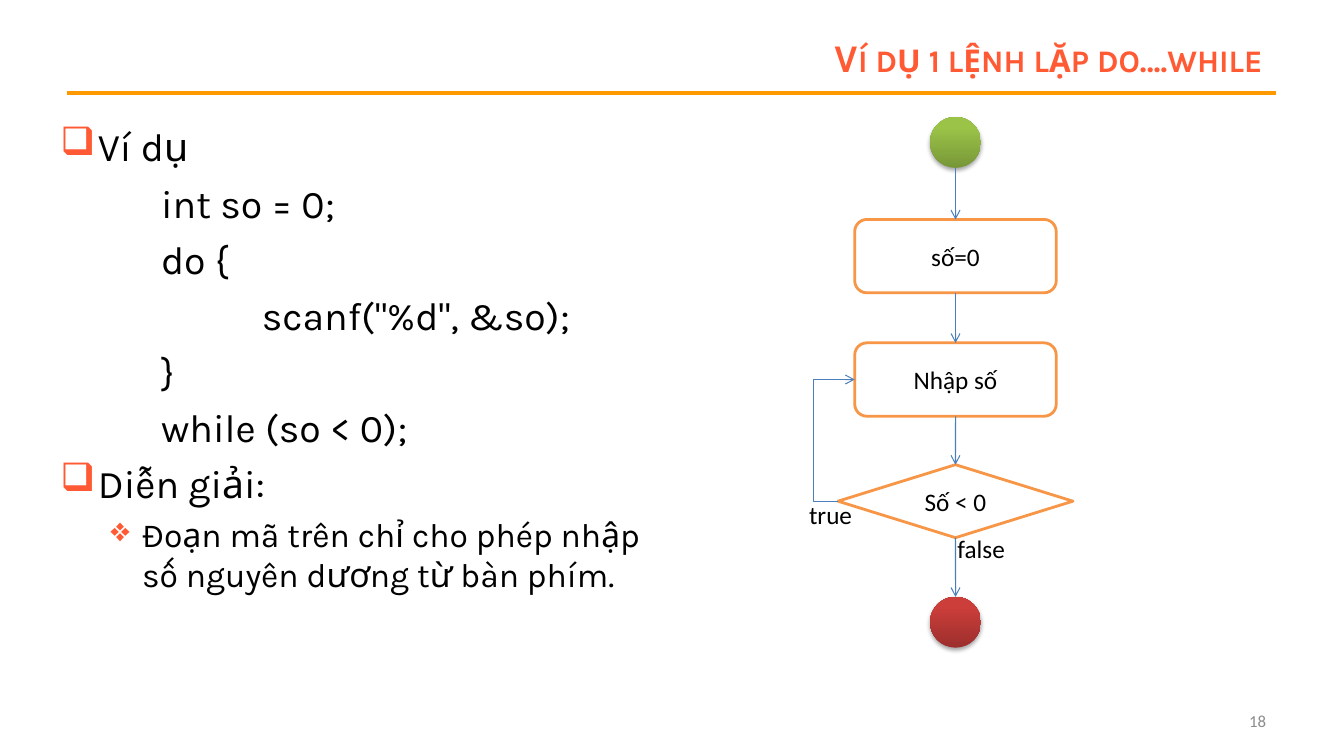
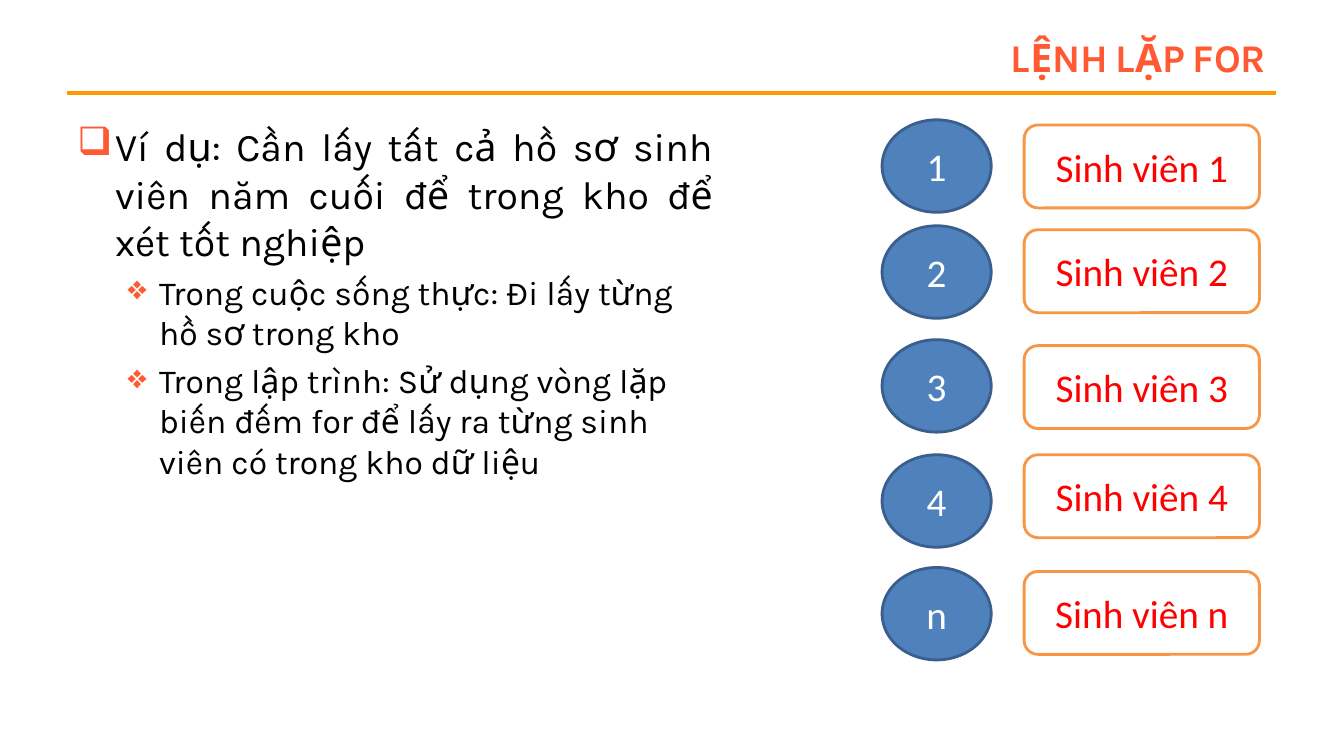
"""Build two lecture slides about the do-while and for loops."""
import itertools
from dataclasses import dataclass
from typing import NamedTuple, Optional

import pptx
import pptx.dml.color
import pptx.enum.dml
import pptx.enum.shapes
import pptx.enum.text
import pptx.oxml
import pptx.oxml.ns
import pptx.util
from pptx.util import Cm

ALIGN = pptx.enum.text.PP_ALIGN
ANCHOR = pptx.enum.text.MSO_ANCHOR
SHAPE = pptx.enum.shapes.MSO_SHAPE
CONNECTOR = pptx.enum.shapes.MSO_CONNECTOR

HEADING_FONT, DIAGRAM_FONT = "Karla", "Calibri"
BLACK, WHITE, RED, GREY = "000000", "FFFFFF", "FF0000", "8C8C8C"
CORAL, AMBER, ORANGE = "FF5A33", "FF9900", "F79646"
BLUE, NAVY, ARROW_BLUE = "4F81BD", "3A5F8C", "4B7EBC"
TOP, LEFT, BOTTOM = 0, 1, 2


class Box(NamedTuple):
    """Place and size in centimetres."""

    left: float
    top: float
    width: float
    height: float

    def lengths(self) -> tuple:
        """Return the four measures as lengths."""
        return tuple(Cm(value) for value in self)


@dataclass(frozen=True)
class Style:
    """Paragraph format used in the body text."""

    size: int = 28
    margin: float = 0
    hanging: float = 0
    bullet: str = ""
    level: int = 0
    align: Optional[ALIGN] = None


@dataclass(frozen=True)
class Step:
    """Node of the flowchart."""

    kind: SHAPE
    box: Box
    label: str = ""
    glow: tuple = ()


@dataclass(frozen=True)
class Student:
    """Numbered record on the for-loop slide."""

    number: str
    number_top: float
    record_top: float


POINT = Style(margin=0.95, hanging=0.95, bullet="❑")
JUSTIFIED = Style(margin=0.95, hanging=0.95, bullet="❑", align=ALIGN.JUSTIFY)
SUBPOINT = Style(size=24, margin=2.06, hanging=0.79, bullet="❖", level=1)
CODE = Style(margin=2.54)
NESTED_CODE = Style(margin=5.08)

AXIS = 24.08
STEPS = (
    Step(SHAPE.OVAL, Box(AXIS - 0.64, 2.95, 1.28, 1.28), glow=("779737", "9BC348")),
    Step(SHAPE.ROUNDED_RECTANGLE, Box(AXIS - 2.54, 5.53, 5.08, 1.85), "số=0"),
    Step(SHAPE.ROUNDED_RECTANGLE, Box(AXIS - 2.54, 8.64, 5.08, 1.85), "Nhập số"),
    Step(SHAPE.FLOWCHART_DECISION, Box(AXIS - 2.96, 11.71, 5.92, 1.84), "Số < 0"),
    Step(SHAPE.OVAL, Box(AXIS - 0.64, 15.04, 1.28, 1.28), glow=("9C2F2D", "CB3E3A")),
)
BRANCHES = {
    "true": Box(20.14, 12.47, 1.6, 1.02),
    "false": Box(23.88, 13.32, 1.73, 1.02),
}
STUDENTS = (
    Student("1", 3.02, 3.15),
    Student("2", 5.69, 5.79),
    Student("3", 8.56, 8.71),
    Student("4", 11.46, 11.46),
    Student("n", 14.3, 14.4),
)


def rgb(code: str) -> pptx.dml.color.RGBColor:
    """Turn a hex string into a colour."""
    return pptx.dml.color.RGBColor.from_string(code)


def element(xml: str):
    """Parse a drawing element given without its namespace."""
    tag, rest = xml.split(" ", 1)
    return pptx.oxml.parse_xml(f"{tag} {pptx.oxml.ns.nsdecls('a')} {rest}")


def write(frame, text: str, *, size: int, font: str = DIAGRAM_FONT,
          color: str = BLACK, align: Optional[ALIGN] = None, bold: bool = False,
          small_caps: bool = False, space: float = 0, margin: float = 0,
          hanging: float = 0, bullet: str = "", level: int = 0) -> None:
    """Add a formatted paragraph to a text frame."""
    paragraph = frame.paragraphs[0] if not frame.text else frame.add_paragraph()
    paragraph.alignment = align
    paragraph.level = level
    paragraph.space_before = pptx.util.Pt(space)
    properties = paragraph._p.get_or_add_pPr()
    properties.set("marL", str(int(Cm(margin))))
    properties.set("indent", str(-int(Cm(hanging))))
    if bullet:
        properties.append(element(f'<a:buClr ><a:srgbClr val="{CORAL}"/></a:buClr>'))
        properties.append(element(f'<a:buChar char="{bullet}"/>'))
    run = paragraph.add_run()
    run.text = text
    run.font.name = font
    run.font.size = pptx.util.Pt(size)
    run.font.bold = bold
    run.font.color.rgb = rgb(color)
    if small_caps:
        run._r.get_or_add_rPr().set("cap", "small")


def add_text_frame(slide, box: Box, wrap: bool = True, anchor: ANCHOR = ANCHOR.TOP):
    """Add a text box and return its frame."""
    frame = slide.shapes.add_textbox(*box.lengths()).text_frame
    frame.word_wrap = wrap
    frame.vertical_anchor = anchor
    return frame


def add_body(slide, box: Box, lines: tuple) -> None:
    """Write the styled lines of the main text."""
    frame = add_text_frame(slide, box)
    for text, style in lines:
        write(frame, text, font=HEADING_FONT, size=style.size, align=style.align,
              space=round(style.size * 0.23, 1), margin=style.margin,
              hanging=style.hanging, bullet=style.bullet, level=style.level)


def add_node(slide, kind: SHAPE, box: Box, label: str, *, size: int,
             color: str = BLACK, fill: str = WHITE, line: str = ORANGE):
    """Add an outlined shape with a centred label."""
    node = slide.shapes.add_shape(kind, *box.lengths())
    node.shadow.inherit = False
    node.fill.solid()
    node.fill.fore_color.rgb = rgb(fill)
    node.line.color.rgb = rgb(line)
    node.line.width = pptx.util.Pt(2)
    node.text_frame.vertical_anchor = ANCHOR.MIDDLE
    write(node.text_frame, label, size=size, color=color, align=ALIGN.CENTER)
    return node


def add_terminal(slide, step: Step):
    """Add a shaded circle that starts or ends the flow."""
    terminal = slide.shapes.add_shape(step.kind, *step.box.lengths())
    terminal.line.fill.background()
    terminal.fill.gradient()
    terminal.fill.gradient_angle = 90
    for stop, color, position in zip(terminal.fill.gradient_stops, step.glow, (0, 0.8)):
        stop.color.rgb = rgb(color)
        stop.position = position
    terminal.shadow.inherit = False
    effects = terminal._element.spPr.find(pptx.oxml.ns.qn("a:effectLst"))
    effects.append(element(
        '<a:outerShdw blurRad="39370" dist="22860" dir="5400000" rotWithShape="0">'
        f'<a:srgbClr val="{BLACK}"><a:alpha val="35000"/></a:srgbClr></a:outerShdw>'))
    return terminal


def add_line(slide, kind: CONNECTOR, start: tuple, end: tuple, color: str,
             width: float, arrow: bool = False):
    """Add a connector between two points given in centimetres."""
    line = slide.shapes.add_connector(kind, *(Cm(value) for value in start + end))
    line.line.color.rgb = rgb(color)
    line.line.width = pptx.util.Pt(width)
    if arrow:
        line.line._get_or_add_ln().append(element('<a:tailEnd type="arrow"/>'))
    line._element.spPr.append(element("<a:effectLst />"))
    return line


def add_titled_slide(deck, title: str, box: Box):
    """Add a slide with the shared title style and rule."""
    slide = deck.slides.add_slide(deck.slide_layouts[5])
    heading = slide.shapes.title
    heading.left, heading.top, heading.width, heading.height = box.lengths()
    frame = heading.text_frame
    frame.word_wrap = True
    frame.auto_size = pptx.enum.text.MSO_AUTO_SIZE.NONE
    frame.vertical_anchor = ANCHOR.MIDDLE
    write(frame, title, size=28, font=HEADING_FONT, color=CORAL,
          align=ALIGN.RIGHT, bold=True, small_caps=True)
    add_line(slide, CONNECTOR.STRAIGHT, (1.7, 2.34), (32.16, 2.34), AMBER, 3)
    return slide


def add_flowchart(slide) -> None:
    """Draw the do-while flowchart."""
    nodes = [add_terminal(slide, step) if step.glow
             else add_node(slide, step.kind, step.box, step.label, size=18)
             for step in STEPS]
    for (upper, source), (lower, target) in itertools.pairwise(zip(STEPS, nodes)):
        arrow = add_line(slide, CONNECTOR.STRAIGHT,
                         (AXIS, upper.box.top + upper.box.height),
                         (AXIS, lower.box.top), ARROW_BLUE, 0.75, arrow=True)
        if not upper.glow:
            arrow.begin_connect(source, BOTTOM)
        arrow.end_connect(target, TOP)
    entry, test = STEPS[2].box, STEPS[3].box
    loop = add_line(slide, CONNECTOR.ELBOW,
                    (test.left, test.top + test.height / 2),
                    (entry.left, entry.top + entry.height / 2),
                    ARROW_BLUE, 0.75, arrow=True)
    loop.begin_connect(nodes[3], LEFT)
    loop.end_connect(nodes[2], LEFT)
    bend = loop._element.spPr.find(pptx.oxml.ns.qn("a:prstGeom"))
    bend.get_or_add_avLst().append(element('<a:gd name="adj1" fmla="val -150000"/>'))
    for label, box in BRANCHES.items():
        write(add_text_frame(slide, box, wrap=False), label, size=18)


def build_do_while(deck) -> None:
    """Build the do-while example slide."""
    slide = add_titled_slide(deck, "Ví dụ 1 lệnh lặp do….while",
                             Box(13.67, 0.76, 18.41, 1.35))
    add_body(slide, Box(1.27, 2.97, 15.67, 14.6), (
        ("Ví dụ", POINT),
        ("int so = 0;", CODE),
        ("do {", CODE),
        ('scanf("%d", &so);', NESTED_CODE),
        ("}", CODE),
        ("while (so < 0);", CODE),
        ("Diễn giải:", POINT),
        ("Đoạn mã trên chỉ cho phép nhập số nguyên dương từ bàn phím.", SUBPOINT),
    ))
    add_flowchart(slide)
    page_number = add_text_frame(slide, Box(24.26, 17.65, 7.9, 1.02), anchor=ANCHOR.MIDDLE)
    write(page_number, "18", size=12, color=GREY, align=ALIGN.RIGHT)


def build_for(deck) -> None:
    """Build the for-loop slide."""
    slide = add_titled_slide(deck, "LỆNH LẶP FOR", Box(7.62, 0.76, 24.54, 1.35))
    add_body(slide, Box(1.7, 2.97, 16.51, 14.6), (
        ("Ví dụ: Cần lấy tất cả hồ sơ sinh viên năm cuối để trong kho để xét tốt nghiệp",
         JUSTIFIED),
        ("Trong cuộc sống thực: Đi lấy từng hồ sơ trong kho", SUBPOINT),
        ("Trong lập trình: Sử dụng vòng lặp biến đếm for để lấy ra từng sinh viên "
         "có trong kho dữ liệu", SUBPOINT),
    ))
    for student in STUDENTS:
        add_node(slide, SHAPE.ROUNDED_RECTANGLE, Box(25.81, student.record_top, 5.93, 2.09),
                 f"Sinh viên {student.number}", size=28, color=RED)
        add_node(slide, SHAPE.OVAL, Box(22.23, student.number_top, 2.75, 2.33),
                 student.number, size=28, color=WHITE, fill=BLUE, line=NAVY)


def main() -> None:
    """Build and save the presentation."""
    deck = pptx.Presentation()
    deck.slide_width, deck.slide_height = Cm(33.87), Cm(19.05)
    build_do_while(deck)
    build_for(deck)
    deck.save("out.pptx")


if __name__ == "__main__":
    main()
